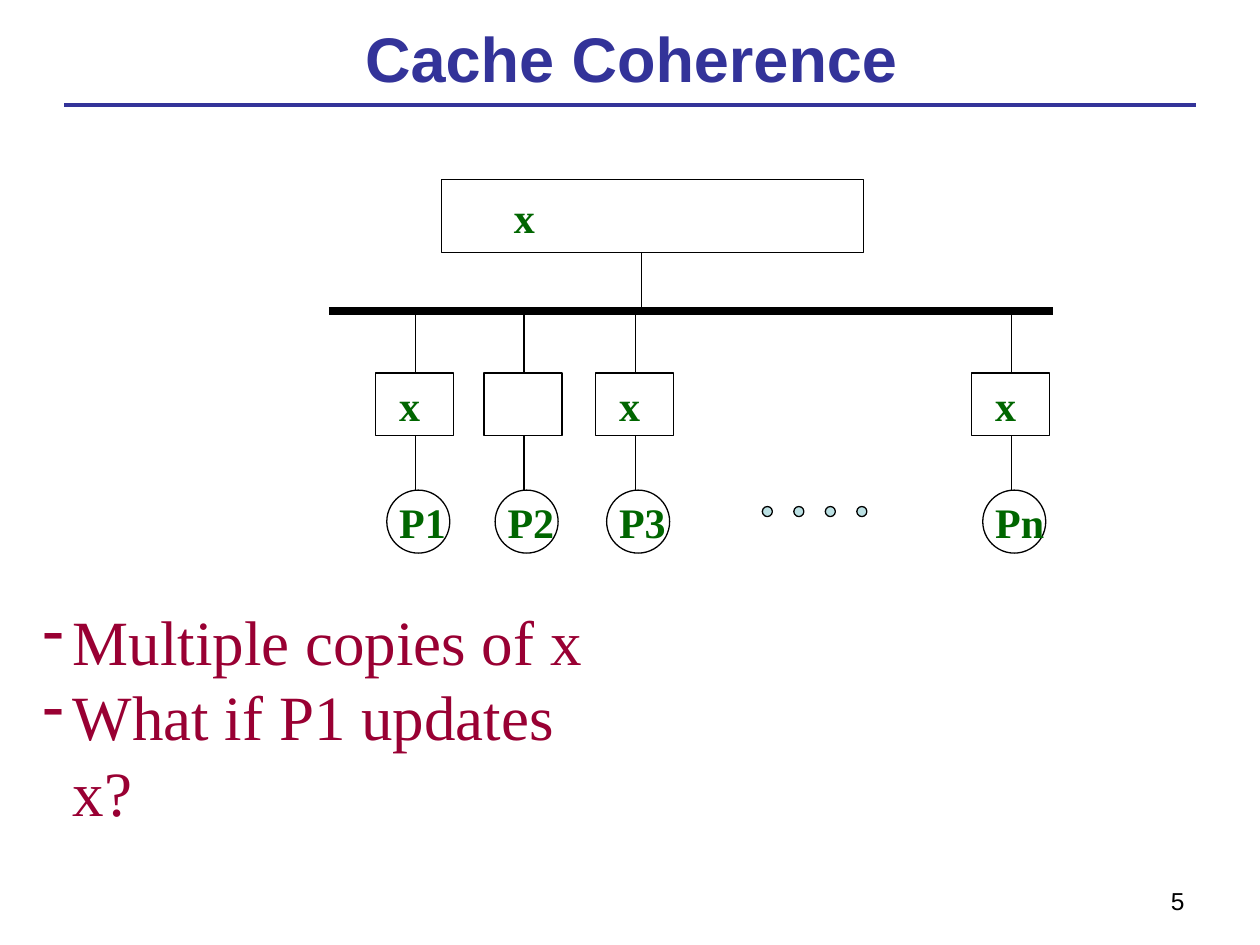
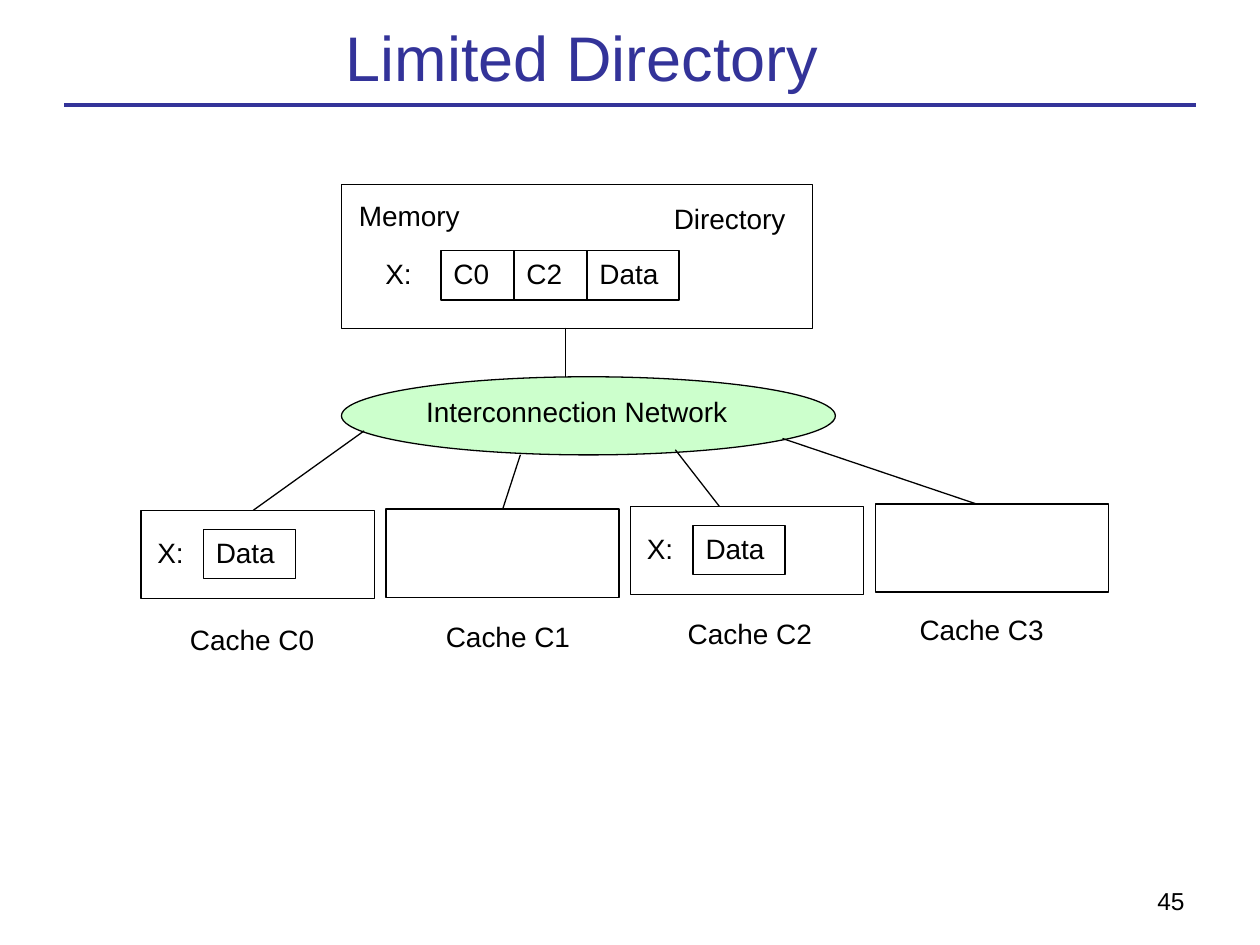
from dataclasses import dataclass

from lxml.etree import SubElement
from pptx import Presentation
from pptx.dml.color import RGBColor
from pptx.enum.shapes import MSO_CONNECTOR, MSO_SHAPE
from pptx.enum.text import MSO_ANCHOR, PP_ALIGN
from pptx.oxml.ns import qn
from pptx.util import Inches, Pt

# Page grid: 100 columns by 75 rows
WIDTH, HEIGHT = Inches(10), Inches(7.5)
COL, ROW = WIDTH / 100, HEIGHT / 75

# Colours
NAVY, BLACK, WHITE = "333399", "000000", "FFFFFF"
GREEN, MAROON, AQUA, MINT = "006600", "990033", "BBE0E3", "CCFFCC"


@dataclass(frozen=True)
class Box:
    """Left, top, width and height in columns and rows."""
    left: float
    top: float
    width: float
    height: float

    def emu(self) -> tuple:
        return (round(self.left * COL), round(self.top * ROW),
                round(self.width * COL), round(self.height * ROW))


@dataclass(frozen=True)
class Style:
    size: float
    color: str = BLACK
    font: str = "Arial"
    bold: bool = False


@dataclass(frozen=True)
class Processor:
    name: str
    left: float
    has_copy: bool


@dataclass(frozen=True)
class Cache:
    name: str
    top: float
    label: Box
    link: tuple
    holds_data: bool


TITLE, TITLE_BOLD = Style(36, NAVY), Style(36, NAVY, bold=True)
PAGE_NUMBER, LABEL = Style(14), Style(16)
VARIABLE = Style(24, GREEN, "Times New Roman", True)
BULLET = Style(36, MAROON, "Times New Roman")


def rgb(color: str) -> RGBColor:
    return RGBColor.from_string(color)


def add_run(p, text: str, style: Style) -> None:
    r = p.add_run()
    r.text = text
    r.font.size, r.font.name, r.font.bold = Pt(style.size), style.font, style.bold
    r.font.color.rgb = rgb(style.color)


def add_text(s, box: Box, text: str, style: Style, align=PP_ALIGN.LEFT,
             anchor=MSO_ANCHOR.TOP) -> None:
    tf = s.shapes.add_textbox(*box.emu()).text_frame
    tf.word_wrap, tf.vertical_anchor = True, anchor
    p = tf.paragraphs[0]
    p.alignment = align
    add_run(p, text, style)


def add_shape(s, box: Box, fill: str | None = None, line: str | None = BLACK,
              text: str = "", kind=MSO_SHAPE.RECTANGLE) -> None:
    sp = s.shapes.add_shape(kind, *box.emu())
    sp.shadow.inherit = False
    if fill:
        sp.fill.solid()
        sp.fill.fore_color.rgb = rgb(fill)
    else:
        sp.fill.background()
    if line:
        sp.line.color.rgb = rgb(line)
        sp.line.width = Pt(0.75)
    else:
        sp.line.fill.background()
    if text:
        tf = sp.text_frame
        tf.word_wrap, tf.vertical_anchor = True, MSO_ANCHOR.TOP
        p = tf.paragraphs[0]
        p.alignment = PP_ALIGN.LEFT
        add_run(p, text, LABEL)


def add_line(s, x1: float, y1: float, x2: float, y2: float,
             color: str = BLACK, width: float = 0.75) -> None:
    sp = s.shapes.add_connector(MSO_CONNECTOR.STRAIGHT, round(x1 * COL), round(y1 * ROW),
                                round(x2 * COL), round(y2 * ROW))
    sp.line.color.rgb = rgb(color)
    sp.line.width = Pt(width)
    SubElement(sp._element.spPr, qn("a:effectLst"))


def add_bullet(p, text: str) -> None:
    pPr = p._p.get_or_add_pPr()
    pPr.set("marL", str(Inches(0.24)))
    pPr.set("indent", str(-Inches(0.24)))
    SubElement(pPr, qn("a:buFontTx"))
    SubElement(pPr, qn("a:buChar"), char="-")
    add_run(p, text, BULLET)


def new_slide(prs, title: str, title_box: Box, title_style: Style, number: str):
    s = prs.slides.add_slide(prs.slide_layouts[6])
    add_line(s, 5.1, 8.35, 94.9, 8.35, NAVY, 2.25)
    add_text(s, Box(71.7, 69.8, 23.3, 3.7), number, PAGE_NUMBER, PP_ALIGN.RIGHT)
    add_text(s, title_box, title, title_style, PP_ALIGN.CENTER, MSO_ANCHOR.MIDDLE)
    return s


def cache_coherence(prs) -> None:
    s = new_slide(prs, "Cache Coherence", Box(7.5, 1.25, 85.2, 6.6), TITLE_BOLD, "5")
    bus, cache_top, cpu_top, side = 24.7, 29.6, 38.9, 5

    # Shared memory and bus
    add_shape(s, Box(35.05, 14.25, 33.5, 5.8))
    add_text(s, Box(39.8, 14.7, 3.6, 5), "x", VARIABLE)
    add_line(s, 50.9, 20.1, 50.9, bus)
    add_line(s, 26.1, bus, 83.6, bus, width=4.5)

    # Processors with their caches
    for cpu in (Processor("P1", 29.8, True), Processor("P2", 38.4, False),
                Processor("P3", 47.25, True), Processor("Pn", 77.1, True)):
        wire, inner = cpu.left + 3.2, cpu.left + 0.9
        add_line(s, wire, bus, wire, cache_top)
        add_shape(s, Box(cpu.left, cache_top, 6.2, side))
        if cpu.has_copy:
            add_text(s, Box(inner, cache_top, 3.8, side), "x", VARIABLE)
        add_line(s, wire, cache_top + side, wire, cpu_top)
        add_shape(s, Box(inner, cpu_top, side, side), kind=MSO_SHAPE.OVAL)
        add_text(s, Box(inner, cpu_top, 7, side), cpu.name, VARIABLE)

    # Dots for the processors left out
    for i in range(4):
        add_shape(s, Box(60.5 + 2.5 * i, 40.2, 0.8, 0.8), AQUA, kind=MSO_SHAPE.OVAL)

    # Questions
    tf = s.shapes.add_textbox(*Box(2.4, 47.3, 47.8, 19).emu()).text_frame
    tf.word_wrap = True
    add_bullet(tf.paragraphs[0], "Multiple copies of x")
    add_bullet(tf.add_paragraph(), "What if P1 updates x?")


def limited_directory(prs) -> None:
    s = new_slide(prs, "Limited Directory", Box(23.2, 0, 46, 9), TITLE, "45")
    cell_height, data_width = 3.9, 7.3

    # Memory with its directory entry
    add_shape(s, Box(27.1, 14.65, 37.4, 11.4), WHITE)
    for text, box in (("Memory", Box(27.5, 15.3, 10.1, 4.1)),
                      ("Directory", Box(52.5, 15.5, 11, 4.9)),
                      ("X:", Box(29.6, 19.9, 5.2, 4.4))):
        add_shape(s, box, WHITE, None, text)
    left = 35
    for text, width in (("C0", 5.8), ("C2", 5.8), ("Data", data_width)):
        add_shape(s, Box(left, 19.9, width, cell_height), WHITE, text=text)
        left += width

    # Network
    add_shape(s, Box(27.1, 29.9, 39.2, 6.2), MINT, text="Interconnection Network",
              kind=MSO_SHAPE.OVAL)
    add_line(s, 44.9, 26, 44.9, 29.9)

    # Caches, each linked to the network
    caches = (
        Cache("Cache C0", 40.5, Box(14.1, 48.9, 12, 4.9), (28.9, 34.2, 20.1), True),
        Cache("Cache C1", 40.4, Box(34.4, 48.7, 12.5, 4.9), (41.3, 36.1, 39.9), False),
        Cache("Cache C2", 40.2, Box(53.6, 48.4, 13.5, 4.9), (53.6, 35.7, 57.1), True),
        Cache("Cache C3", 40, Box(72, 48.1, 13.6, 4.2), (62.1, 34.8, 77.5), False),
    )
    for i, cache in enumerate(caches):
        left = 11.2 + 19.43 * i
        x1, y1, x2 = cache.link
        add_line(s, x1, y1, x2, cache.top)
        add_shape(s, Box(left, cache.top, 18.5, 7), WHITE)
        if cache.holds_data:
            add_shape(s, Box(left + 0.3, cache.top + 1.5, 4.6, 4.1), WHITE, None, "X:")
            add_shape(s, Box(left + 4.95, cache.top + 1.5, data_width, cell_height),
                      WHITE, text="Data")
        add_shape(s, cache.label, WHITE, None, cache.name)


def main() -> None:
    prs = Presentation()
    prs.slide_width, prs.slide_height = WIDTH, HEIGHT
    cache_coherence(prs)
    limited_directory(prs)
    prs.save("out.pptx")


if __name__ == "__main__":
    main()
